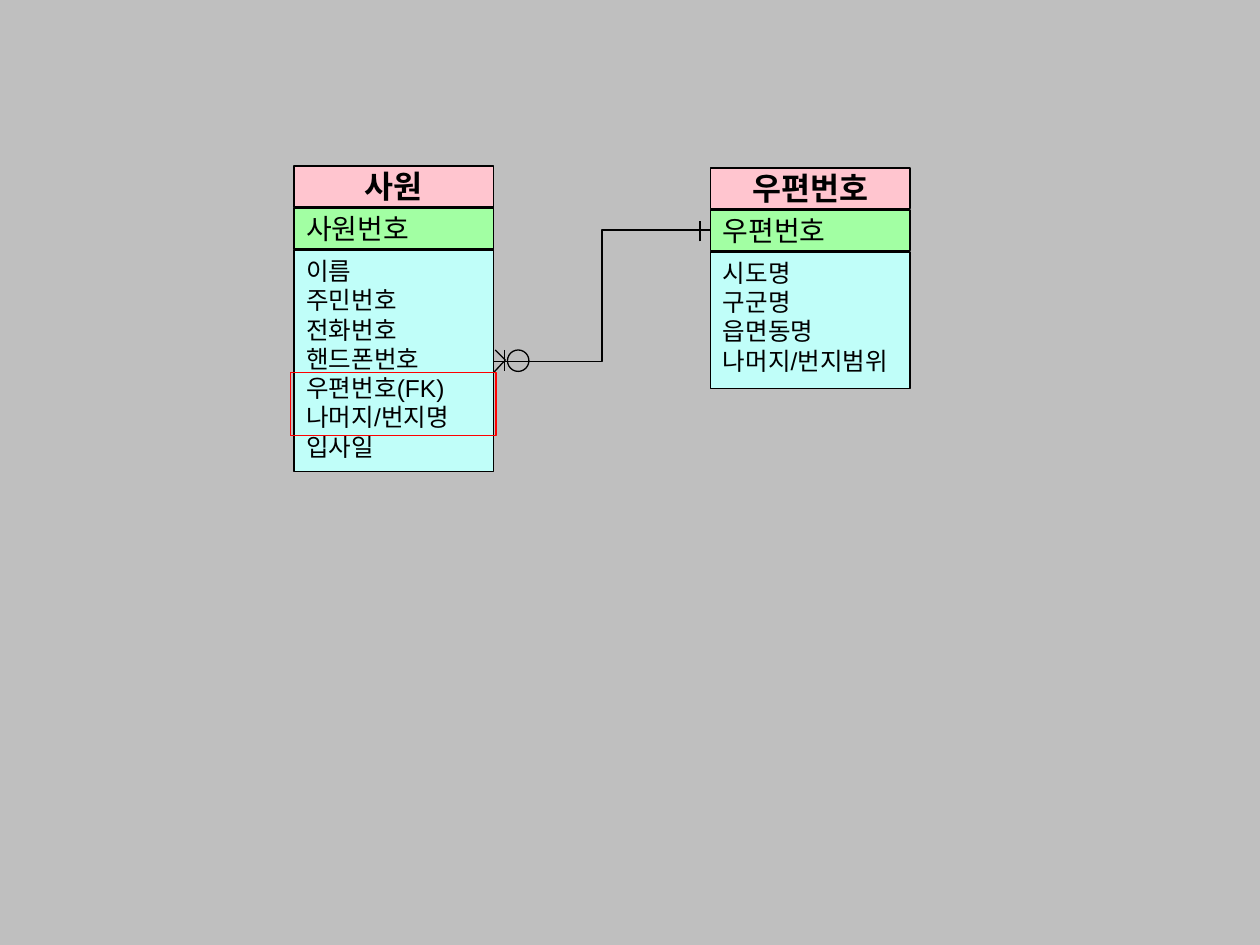
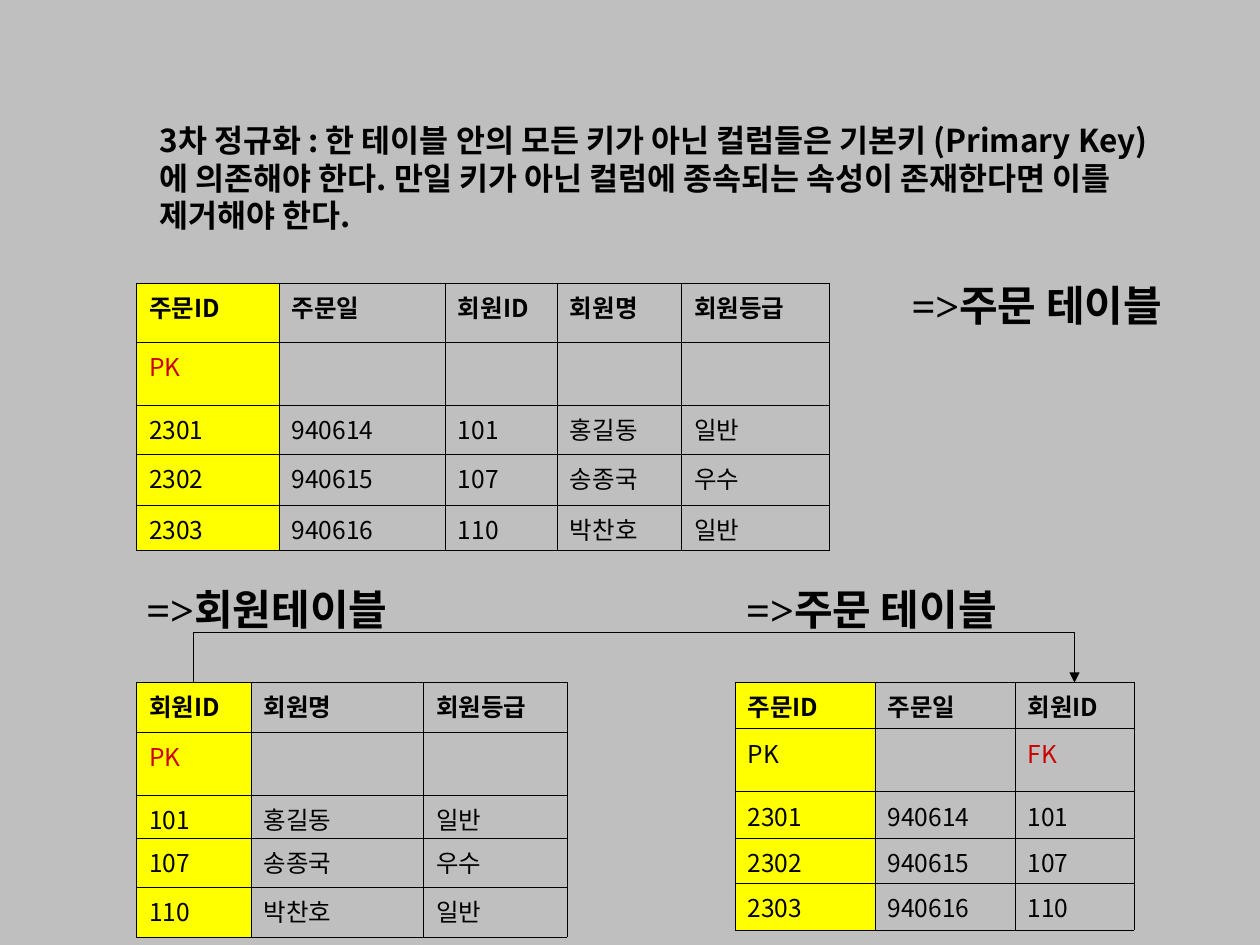
from lxml import etree
from pptx import Presentation
from pptx.dml.color import RGBColor
from pptx.enum.shapes import MSO_CONNECTOR, MSO_SHAPE
from pptx.enum.text import MSO_ANCHOR, MSO_AUTO_SIZE, PP_ALIGN
from pptx.oxml.ns import qn
from pptx.util import Pt

RECT, OVAL = MSO_SHAPE.RECTANGLE, MSO_SHAPE.OVAL
STRAIGHT, ELBOW = MSO_CONNECTOR.STRAIGHT, MSO_CONNECTOR.ELBOW
LEFT, CENTER = PP_ALIGN.LEFT, PP_ALIGN.CENTER
TOP, MIDDLE = MSO_ANCHOR.TOP, MSO_ANCHOR.MIDDLE

# Shared look
GRAY, BLACK, RED, DARK_RED, YELLOW = "BFBFBF", "000000", "FF0000", "CC0000", "FFFF00"
PINK, GREEN, CYAN = "FFC5CF", "A2FFA3", "C0FEF9"
SANS, SERIF, KOREAN = "Arial", "Times New Roman", "Noto Sans CJK KR"
LINE_FACTOR = 1.19

# Slide 1: entities as left, top, name, key, attributes, attribute box height
ENTITY_WIDTH, BAND_HEIGHT, BAND_PITCH = 114, 23.25, 24
ENTITIES = [
    (168, 95, "사원", "사원번호",
     ["이름", "주민번호", "전화번호", "핸드폰번호", "우편번호(FK)", "나머지/번지명", "입사일"], 126.5),
    (406, 96, "우편번호", "우편번호",
     ["시도명", "구군명", "읍면동명", "나머지/번지범위"], 78),
]
RELATION = (406, 131.5, 282, 206.5)
# Crow's foot and the "one" bar: start, end, width
RELATION_MARKS = [
    (288.5, 200, 288.5, 212, 0.75),
    (282, 213, 288, 206.5, 0.75),
    (283, 200, 289, 206, 0.75),
    (400, 138, 400, 126, 1),
]
OPTIONAL_RING = (290, 200, 12.25, 12.25)
FOREIGN_KEY_FRAME = (166, 213, 117.5, 36)

# Slide 2
RULE = ("3차 정규화 : 한 테이블 안의 모든 키가 아닌 컬럼들은 기본키 (Primary Key)에 의존해야 한다. "
        "만일 키가 아닌 컬럼에 종속되는 속성이 존재한다면 이를 제거해야 한다.")
RULE_AREA = (84, 66, 594, 72)
HEADINGS = [
    ("=>주문 테이블", (486, 156, 213, 36)),
    ("=>회원테이블", (47.5, 330, 210, 36)),
    ("=>주문 테이블", (366, 330, 264, 36)),
]
ORDERS = [("2301", "940614", "101"), ("2302", "940615", "107"), ("2303", "940616", "110")]
MEMBERS = [("101", "홍길동", "일반"), ("107", "송종국", "우수"), ("110", "박찬호", "일반")]
TABLES = {
    "source": dict(
        at=(78, 162), columns=[81.5, 95, 64, 71, 84.5], heights=[33.5, 36, 28, 29.5, 25.5],
        rows=[("주문ID", "주문일", "회원ID", "회원명", "회원등급"), ("PK", "", "", "", ""),
              *(order + member[1:] for order, member in zip(ORDERS, MEMBERS))],
        red=["PK"]),
    "members": dict(
        at=(78, 390), columns=[65.5, 98.5, 82], heights=[28.5, 36, 24.5, 28, 28.5],
        rows=[("회원ID", "회원명", "회원등급"), ("PK", "", ""), *MEMBERS], red=["PK"]),
    "orders": dict(
        at=(420, 390), columns=[80, 80, 68], heights=[26.5, 36, 26.5, 26, 26.5],
        rows=[("주문ID", "주문일", "회원ID"), ("PK", "", "FK"), *ORDERS], red=["FK"]),
}
BRACKET_RISE, BRACKET_DEPTH = 28.8, 0.2


def points(values):
    return [Pt(value) for value in values]


def rgb(color):
    return RGBColor.from_string(color)


def style(para, size, font, bold=False, color=BLACK, align=LEFT):
    para.alignment = align
    para.line_spacing = Pt(round(size * LINE_FACTOR, 1))
    para.space_before = Pt(0)
    para.font.size, para.font.bold, para.font.name = Pt(size), bold, font
    para.font.color.rgb = rgb(color)
    east_asian = etree.Element(qn("a:ea"), typeface=KOREAN)
    para.font._element.find(qn("a:latin")).addnext(east_asian)


def write(frame, lines, size, font, anchor=MIDDLE, wrap=True, **look):
    frame.word_wrap, frame.vertical_anchor = wrap, anchor
    frame.auto_size = MSO_AUTO_SIZE.NONE
    frame.margin_left = frame.margin_right = Pt(7.2)
    frame.margin_top = frame.margin_bottom = Pt(3.6)
    frame.text = "\n".join(lines)
    for para in frame.paragraphs:
        style(para, size, font, **look)


def add_box(page, area, kind=RECT, fill=None, line=BLACK, width=0.75):
    box = page.shapes.add_shape(kind, *points(area))
    box.shadow.inherit = False
    if fill:
        box.fill.solid()
        box.fill.fore_color.rgb = rgb(fill)
    else:
        box.fill.background()
    box.line.color.rgb = rgb(line)
    box.line.width = Pt(width)
    return box


def add_line(page, ends, kind=STRAIGHT, width=0.75):
    line = page.shapes.add_connector(kind, *points(ends))
    line.line.color.rgb = rgb(BLACK)
    line.line.width = Pt(width)
    etree.SubElement(line._element.spPr, qn("a:effectLst"))
    return line


def add_entity(page, left, top, name, key, attributes, body_height):
    bands = [
        ([name], PINK, BAND_HEIGHT, 18, MIDDLE, dict(bold=True, align=CENTER)),
        ([key], GREEN, BAND_HEIGHT, 16, MIDDLE, {}),
        (attributes, CYAN, body_height, 14, TOP, {}),
    ]
    for index, (lines, fill, height, size, anchor, look) in enumerate(bands):
        area = (left, top + index * BAND_PITCH, ENTITY_WIDTH, height)
        box = add_box(page, area, fill=fill, width=1)
        write(box.text_frame, lines, size, SANS, anchor, wrap=False, **look)


def outline(cell):
    for side in ("lnL", "lnR", "lnT", "lnB"):
        edge = etree.SubElement(cell._tc.get_or_add_tcPr(), qn(f"a:{side}"), w=str(Pt(0.45)))
        paint = etree.SubElement(edge, qn("a:solidFill"))
        etree.SubElement(paint, qn("a:srgbClr"), val=BLACK)


def add_grid(page, at, columns, heights, rows, red):
    area = (*at, sum(columns), sum(heights))
    table = page.shapes.add_table(len(rows), len(columns), *points(area)).table
    table.first_row = table.horz_banding = False
    for column, width in zip(table.columns, columns):
        column.width = Pt(width)
    for row, height in zip(table.rows, heights):
        row.height = Pt(height)
    for row_index, values in enumerate(rows):
        for column_index, value in enumerate(values):
            cell = table.cell(row_index, column_index)
            outline(cell)
            if column_index == 0:
                cell.fill.solid()
                cell.fill.fore_color.rgb = rgb(YELLOW)
            else:
                cell.fill.background()
            cell.margin_left = cell.margin_right = Pt(7.2)
            cell.margin_top, cell.margin_bottom = Pt(7), Pt(0.5)
            cell.text = value
            style(cell.text_frame.paragraphs[0], 14, KOREAN, bold=row_index == 0,
                  color=DARK_RED if value in red else BLACK)


def add_bracket(page, start, end, base):
    """Arrow that rises from start, runs across and drops to end."""
    span, middle = end - start, (start + end) / 2
    left, top = middle - BRACKET_DEPTH / 2, base - span / 2
    bracket = add_line(page, (left, top, left + BRACKET_DEPTH, top + span), ELBOW)
    transform = bracket._element.spPr.find(qn("a:xfrm"))
    transform.set("rot", "16200000")
    transform.set("flipH", "1")
    geometry = bracket._element.spPr.find(qn("a:prstGeom"))
    guides = geometry.find(qn("a:avLst"))
    if guides is None:
        guides = etree.SubElement(geometry, qn("a:avLst"))
    bend = round(-BRACKET_RISE / BRACKET_DEPTH * 100000)
    etree.SubElement(guides, qn("a:gd"), name="adj1", fmla=f"val {bend}")
    etree.SubElement(bracket.line._get_or_add_ln(), qn("a:tailEnd"), type="triangle")


def add_page(deck, layout):
    page = deck.slides.add_slide(deck.slide_layouts[layout])
    page.background.fill.solid()
    page.background.fill.fore_color.rgb = rgb(GRAY)
    return page


def build_diagram(deck):
    page = add_page(deck, 6)
    for entity in ENTITIES:
        add_entity(page, *entity)
    add_line(page, RELATION, ELBOW)
    for *ends, width in RELATION_MARKS:
        add_line(page, ends, width=width)
    add_box(page, OPTIONAL_RING, OVAL)
    add_box(page, FOREIGN_KEY_FRAME, line=RED)


def build_normal_form(deck):
    page = add_page(deck, 5)
    title = page.shapes.title
    title.left, title.top, title.width, title.height = points(RULE_AREA)
    write(title.text_frame, [RULE], 18, KOREAN, TOP, bold=True)
    for text, area in HEADINGS:
        box = page.shapes.add_textbox(*points(area))
        write(box.text_frame, [text], 24, SERIF, bold=True, align=CENTER)
    for grid in TABLES.values():
        add_grid(page, **grid)

    # Member key to the foreign key of the orders
    members, orders = TABLES["members"], TABLES["orders"]
    start = members["at"][0] + members["columns"][0] / 2
    end = orders["at"][0] + sum(orders["columns"]) - orders["columns"][-1] / 2
    add_bracket(page, start, end, members["at"][1])


def main():
    deck = Presentation()
    deck.slide_width, deck.slide_height = Pt(720), Pt(540)
    build_diagram(deck)
    build_normal_form(deck)
    deck.save("out.pptx")


if __name__ == "__main__":
    main()
